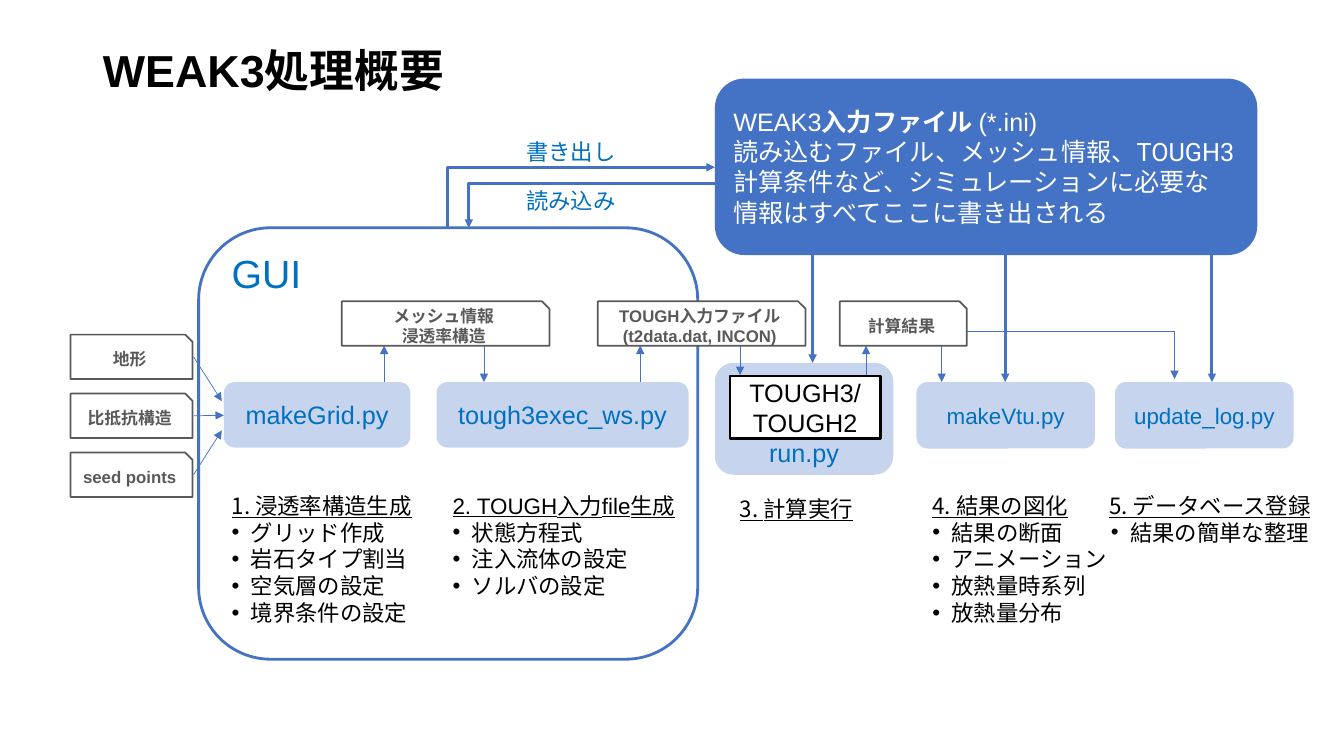
import pptx
import pptx.dml.color
import pptx.enum.shapes
import pptx.enum.text
import pptx.oxml.ns
import pptx.util
from lxml import etree
from pptx.util import Inches

RGBColor = pptx.dml.color.RGBColor
SHAPE = pptx.enum.shapes.MSO_SHAPE
CONNECTOR = pptx.enum.shapes.MSO_CONNECTOR
ANCHOR = pptx.enum.text.MSO_ANCHOR
ALIGN = pptx.enum.text.PP_ALIGN
AUTO_SIZE = pptx.enum.text.MSO_AUTO_SIZE
qn = pptx.oxml.ns.qn

BLUE = RGBColor(0x44, 0x72, 0xC4)
LABEL_BLUE = RGBColor(0x00, 0x70, 0xC0)
GRAY = RGBColor(0x59, 0x59, 0x59)
BLACK = RGBColor(0, 0, 0)
WHITE = RGBColor(0xFF, 0xFF, 0xFF)
LATIN, JAPANESE, ROBOTO = "Arial", "Noto Sans CJK JP", "Roboto"

STAGE_TOP = 3.79
TAG_TOP, TAG_HEIGHT = 2.99, 0.44
TAG_BOTTOM = TAG_TOP + TAG_HEIGHT
INI_BOX = (7.09, 0.78, 5.38, 1.75)
GUI_BOX = (1.97, 2.26, 4.95, 4.28)
RUN_BOX = (7.09, 3.6, 1.77, 1.11)

# left, width, height, script, text size
STAGES = [
    (2.22, 1.85, 0.65, "makeGrid.py", 18),
    (4.33, 2.5, 0.65, "tough3exec_ws.py", 18),
    (9.09, 1.77, 0.66, "makeVtu.py", 16),
    (11.06, 1.77, 0.66, "update_log.py", 16),
]
# box, heading runs, bullets, alignment
NOTES = [
    ((2.2, 4.83, 2.16, 1.99), [("1. 浸透率構造生成", JAPANESE)],
     ["グリッド作成", "岩石タイプ割当", "空気層の設定", "境界条件の設定"], ALIGN.LEFT),
    ((4.39, 4.83, 2.47, 1.45),
     [("2. TOUGH", LATIN), ("入力", JAPANESE), ("file", LATIN), ("生成", JAPANESE)],
     ["状態方程式", "注入流体の設定", "ソルバの設定"], ALIGN.LEFT),
    ((7.24, 4.86, 2.31, 0.37), [("3. 計算実行", JAPANESE)], [], ALIGN.LEFT),
    ((9.15, 4.83, 1.98, 1.45), [("4. 結果の図化", JAPANESE)],
     ["結果の断面", "アニメーション", "放熱量時系列", "放熱量分布"], ALIGN.LEFT),
    ((10.85, 4.83, 2.3, 0.64), [("5. データベース登録", JAPANESE)],
     ["結果の簡単な整理"], ALIGN.CENTER),
]


def add_run(paragraph, text, size, color, font=LATIN, bold=False, underline=False):
    run = paragraph.add_run()
    run.text = text
    run.font.size = pptx.util.Pt(size)
    run.font.bold = bold
    run.font.underline = underline
    run.font.color.rgb = color
    run.font.name = font
    east_asian = JAPANESE if font == LATIN else font
    etree.SubElement(run._r.get_or_add_rPr(), qn("a:ea"), typeface=east_asian)


def next_paragraph(frame, align):
    """Return the unused first paragraph, or a new one."""
    first = frame.paragraphs[0]
    paragraph = frame.add_paragraph() if first.runs else first
    paragraph.alignment = align
    return paragraph


def add_box(slide, preset, box, fill=None, line=None, width=1.25, opacity=100):
    shape = slide.shapes.add_shape(preset, *map(Inches, box))
    shape.shadow.inherit = False
    if fill is None:
        shape.fill.background()
    else:
        shape.fill.solid()
        shape.fill.fore_color.rgb = fill
        if opacity < 100:
            color = shape._element.spPr.find(".//" + qn("a:srgbClr"))
            etree.SubElement(color, qn("a:alpha"), val=str(opacity * 1000))
    if line is None:
        shape.line.fill.background()
    else:
        shape.line.color.rgb = line
        shape.line.width = pptx.util.Pt(width)
    shape.text_frame.word_wrap = True
    shape.text_frame.vertical_anchor = ANCHOR.MIDDLE
    return shape


def add_text_box(slide, box):
    frame = slide.shapes.add_textbox(*map(Inches, box)).text_frame
    frame.word_wrap = True
    frame.auto_size = AUTO_SIZE.SHAPE_TO_FIT_TEXT
    return frame


def add_arrow(slide, start, end, width=0.5, bent=False, arrow="a:tailEnd"):
    """Draw an arrow; a bent one runs horizontally, then vertically."""
    kind = CONNECTOR.ELBOW if bent else CONNECTOR.STRAIGHT
    connector = slide.shapes.add_connector(kind, *map(Inches, start + end))
    connector.line.color.rgb = BLUE
    connector.line.width = pptx.util.Pt(width)
    properties = connector._element.spPr
    if bent:
        properties.find(qn("a:prstGeom")).set("prst", "bentConnector2")
    etree.SubElement(properties.find(qn("a:ln")), qn(arrow), type="triangle")
    etree.SubElement(properties, qn("a:effectLst"))


def draw_title(slide, box):
    title = slide.shapes.title
    title.left, title.top, title.width, title.height = map(Inches, box)
    frame = title.text_frame
    frame.auto_size = AUTO_SIZE.NONE
    frame.vertical_anchor = ANCHOR.MIDDLE
    paragraph = next_paragraph(frame, ALIGN.LEFT)
    paragraph.line_spacing = 0.9
    add_run(paragraph, "WEAK3処理概要", 32, BLACK, bold=True)


def draw_data_tag(slide, box, lines, fill=None):
    frame = add_box(slide, SHAPE.SNIP_1_RECTANGLE, box, fill, GRAY).text_frame
    for line in lines:
        add_run(next_paragraph(frame, ALIGN.CENTER), line, 12, GRAY, bold=True)


def draw_stage(slide, box, script, size):
    stage = add_box(slide, SHAPE.FLOWCHART_ALTERNATE_PROCESS, box, BLUE, opacity=30)
    add_run(next_paragraph(stage.text_frame, ALIGN.CENTER), script, size, LABEL_BLUE)
    return stage


def draw_run_stage(slide, box):
    left, top, width, height = box
    frame = draw_stage(slide, box, "run.py", 18).text_frame
    frame.vertical_anchor = ANCHOR.BOTTOM
    frame.margin_bottom = Inches(0.02)
    simulator = add_box(slide, SHAPE.FLOWCHART_PROCESS,
                        (left + 0.15, top + 0.13, width - 0.28, 0.62), WHITE, BLACK, 2)
    for name in ("TOUGH3/", "TOUGH2"):
        add_run(next_paragraph(simulator.text_frame, ALIGN.CENTER), name, 18, BLACK)


def draw_inputs(slide, box):
    left, top, width, pitch = box
    right = left + width + 0.01
    targets = [(2.2, 3.98), (2.22, 4.12), (2.2, 4.27)]
    for row, (name, target) in enumerate(zip(["地形", "比抵抗構造", "seed points"], targets)):
        y = top + row * pitch
        draw_data_tag(slide, (left, y, width, TAG_HEIGHT), [name])
        add_arrow(slide, (right, y + TAG_HEIGHT / 2), target)


def draw_gui(slide, box):
    left, top, width, _ = box
    add_box(slide, SHAPE.FLOWCHART_ALTERNATE_PROCESS, box, line=BLUE, width=2)
    frame = add_text_box(slide, (left + 0.23, top + 0.16, width, 0.57))
    add_run(next_paragraph(frame, ALIGN.LEFT), "GUI", 28, LABEL_BLUE)


def draw_ini_file(slide, box):
    frame = add_box(slide, SHAPE.ROUNDED_RECTANGLE, box, BLUE).text_frame
    heading = next_paragraph(frame, ALIGN.LEFT)
    add_run(heading, "WEAK3", 18, WHITE)
    add_run(heading, "入力ファイル ", 18, WHITE, JAPANESE, bold=True)
    add_run(heading, "(*.ini)", 18, WHITE)
    for line in ("読み込むファイル、メッシュ情報、TOUGH3",
                 "計算条件など、シミュレーションに必要な",
                 "情報はすべてここに書き出される"):
        add_run(next_paragraph(frame, ALIGN.LEFT), line, 18, WHITE, ROBOTO)


def draw_ini_exchange(slide, ini_left, gui_top):
    """Link the GUI and the ini file in both directions."""
    add_arrow(slide, (ini_left, 1.66), (4.44, gui_top), 2, bent=True, arrow="a:headEnd")
    add_arrow(slide, (ini_left, 1.82), (4.65, gui_top), 2, bent=True)
    for top, label in ((1.32, "書き出し"), (1.81, "読み込み")):
        frame = add_text_box(slide, (5.12, top, 2.24, 0.37))
        add_run(next_paragraph(frame, ALIGN.LEFT), label, 16, LABEL_BLUE, JAPANESE)


def draw_note(slide, box, heading, bullets, align):
    frame = add_text_box(slide, box)
    paragraph = next_paragraph(frame, align)
    for text, font in heading:
        add_run(paragraph, text, 16, BLACK, font, underline=True)
    for bullet in bullets:
        paragraph = next_paragraph(frame, align)
        properties = paragraph._p.get_or_add_pPr()
        properties.set("marL", str(Inches(0.19)))
        properties.set("indent", str(-Inches(0.19)))
        etree.SubElement(properties, qn("a:buFont"), typeface=LATIN)
        etree.SubElement(properties, qn("a:buChar"), char="•")
        add_run(paragraph, bullet, 16, BLACK)


def draw_flow(slide, ini_bottom, run_top):
    for x, bottom in ((3.81, STAGE_TOP), (6.35, STAGE_TOP), (8.59, 3.72)):
        add_arrow(slide, (x, bottom), (x, TAG_BOTTOM))
    for x, bottom in ((4.8, STAGE_TOP), (7.34, 3.72), (9.34, STAGE_TOP)):
        add_arrow(slide, (x, TAG_BOTTOM), (x, bottom))
    add_arrow(slide, (9.59, 3.29), (11.65, 3.76), bent=True)
    for x, bottom in ((8.06, run_top), (9.97, STAGE_TOP), (12.02, STAGE_TOP)):
        add_arrow(slide, (x, ini_bottom), (x, bottom), 2)


def main():
    deck = pptx.Presentation()
    deck.slide_width, deck.slide_height = Inches(13.33), Inches(7.5)
    slide = deck.slides.add_slide(deck.slide_layouts[5])
    draw_title(slide, (0.92, 0.4, 11.5, 0.65))
    draw_run_stage(slide, RUN_BOX)
    for left, width, height, script, size in STAGES:
        draw_stage(slide, (left, STAGE_TOP, width, height), script, size)
    draw_inputs(slide, (0.7, 3.32, 1.21, 0.585))
    draw_ini_file(slide, INI_BOX)
    draw_gui(slide, GUI_BOX)
    draw_ini_exchange(slide, INI_BOX[0], GUI_BOX[1])
    for note in NOTES:
        draw_note(slide, *note)
    draw_flow(slide, INI_BOX[1] + INI_BOX[3], RUN_BOX[1])
    for left, width, lines, fill in (
            (3.39, 2.06, ["メッシュ情報", "浸透率構造"], None),
            (5.93, 2.06, ["TOUGH入力ファイル(t2data.dat, INCON)"], WHITE),
            (8.33, 1.26, ["計算結果"], WHITE)):
        draw_data_tag(slide, (left, TAG_TOP, width, TAG_HEIGHT), lines, fill)
    deck.save("out.pptx")


if __name__ == "__main__":
    main()
